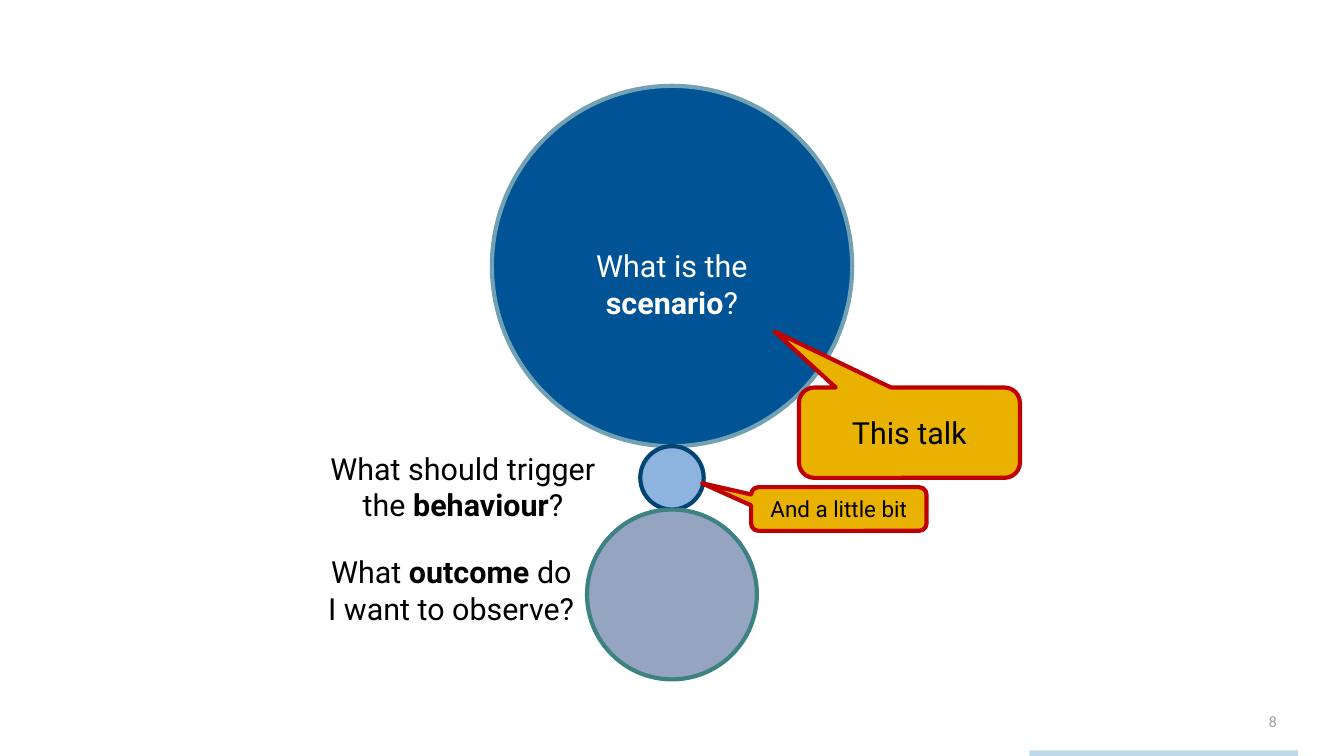
from lxml import etree
from pptx import Presentation
from pptx.dml.color import RGBColor
from pptx.enum.shapes import MSO_SHAPE
from pptx.enum.text import MSO_ANCHOR, PP_ALIGN
from pptx.oxml.ns import qn
from pptx.util import Pt

OVAL, RECT = MSO_SHAPE.OVAL, MSO_SHAPE.RECTANGLE
CALLOUT = MSO_SHAPE.ROUNDED_RECTANGULAR_CALLOUT
CENTER, LEFT = PP_ALIGN.CENTER, PP_ALIGN.LEFT
MIDDLE = MSO_ANCHOR.MIDDLE

WIDTH, HEIGHT = 720, 405
STACK_TOP = 46
SIZE = 16.3

# Stacked circles, top to bottom: diameter, fill, line, opacity in percent
CIRCLES = [
    (193, "005394", "71A1B3", 100),
    (34, "2D75C5", "004473", 54),
    (91, "95A5C1", "3D8281", 100),
]
# Labels: box, wrap, colour, runs as (text, bold)
LABELS = [
    ((278, 129, 164, 27), False, "FFFFFF",
     [("What is the ", False), ("scenario", True), ("?", False)]),
    ((164, 237.6, 168, 47), True, "000000",
     [("What should trigger the ", False), ("behaviour", True), ("?", False)]),
    ((167.3, 293, 149, 47), True, "000000",
     [("What ", False), ("outcome", True), (" do I want to observe?", False)]),
]
# Callouts: box, tip and corner adjustments, text, size
CALLOUTS = [
    ((428, 207.6, 118.4, 48.4), (-0.61, -1.12, 0.17), "This talk", SIZE),
    ((402.4, 261, 94, 23.4), (-0.78, -0.59, 0.17), "And a little bit", 12),
]


def rgb(value):
    return RGBColor.from_string(value)


def add_shape(kind, box, fill, line=None):
    sp = s.shapes.add_shape(kind, *map(Pt, box))
    sp.shadow.inherit = False
    sp.fill.solid()
    sp.fill.fore_color.rgb = rgb(fill)
    if line:
        sp.line.color.rgb = rgb(line)
        sp.line.width = Pt(2.25)
    else:
        sp.line.fill.background()
    return sp


def write(sp, runs, size, color, align=CENTER, wrap=True):
    tf = sp.text_frame
    tf.word_wrap = wrap
    p = tf.paragraphs[0]
    p.alignment = align
    p.font.name, p.font.size = "Roboto", Pt(size)
    p.font.color.rgb = rgb(color)
    for text, bold in runs:
        r = p.add_run()
        r.text = text
        r.font.bold = bold


prs = Presentation()
prs.slide_width, prs.slide_height = Pt(WIDTH), Pt(HEIGHT)
s = prs.slides.add_slide(prs.slide_layouts[6])

# Page number and footer bar
write(s.shapes.add_textbox(Pt(672.5), Pt(378), Pt(34), Pt(24)),
      [("8", False)], 8, "9D9FA2", LEFT)
add_shape(RECT, (551.5, 402, 144, 3), "BFD9EA")

# Circles touching each other on the slide's centre line
top = STACK_TOP
for d, fill, line, opacity in CIRCLES:
    sp = add_shape(OVAL, ((WIDTH - d) / 2, top, d, d), fill, line)
    if opacity < 100:
        color = sp.fill._xPr.find(qn("a:solidFill"))[0]
        etree.SubElement(color, qn("a:alpha")).set("val", str(opacity * 1000))
    top += d

# Labels
for box, wrap, color, runs in LABELS:
    write(s.shapes.add_textbox(*map(Pt, box)), runs, SIZE, color, wrap=wrap)

# Callouts
for box, adjustments, text, size in CALLOUTS:
    sp = add_shape(CALLOUT, box, "EAB200", "C00000")
    for i, value in enumerate(adjustments):
        sp.adjustments[i] = value
    sp.text_frame.vertical_anchor = MIDDLE
    write(sp, [(text, False)], size, "000000")

prs.save("out.pptx")
